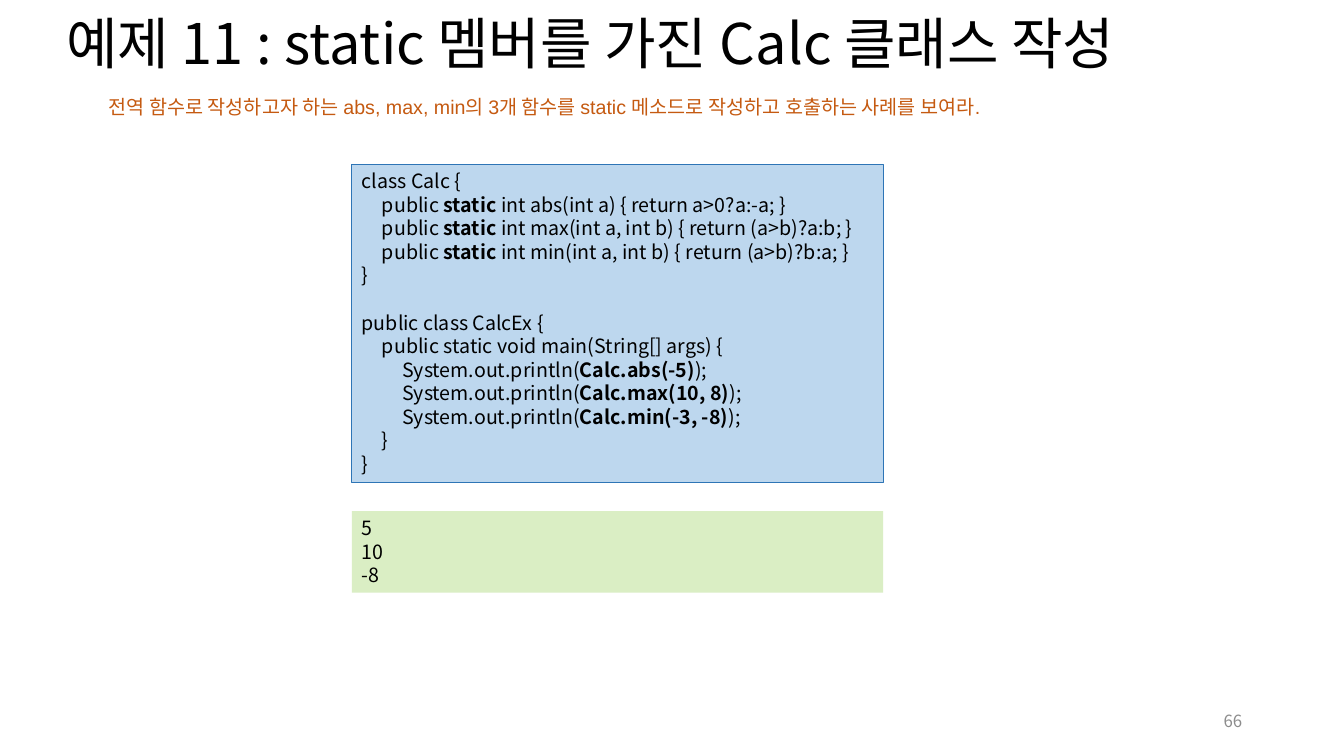
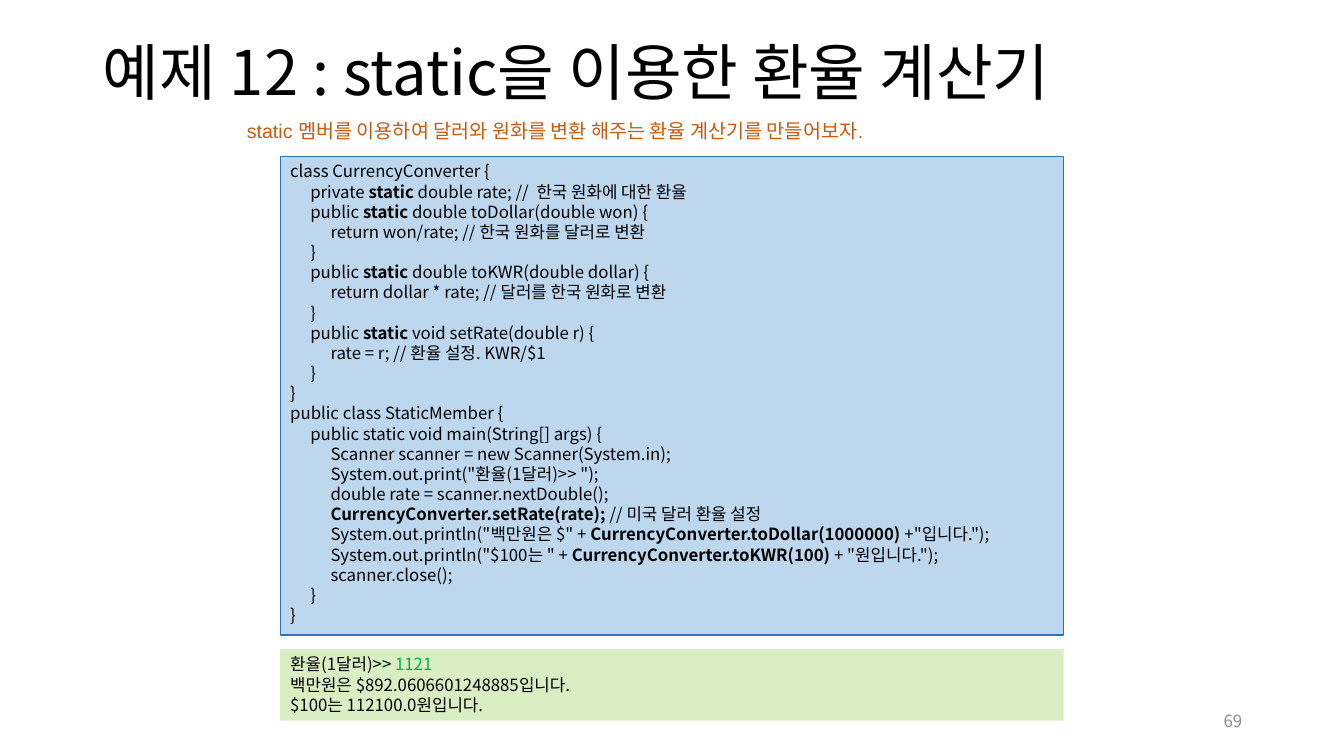
import lxml.etree
import pptx
import pptx.dml.color
import pptx.enum.shapes
import pptx.enum.text
import pptx.oxml.ns
import pptx.util

Inches = pptx.util.Inches
Pt = pptx.util.Pt
ALIGN = pptx.enum.text.PP_ALIGN
ANCHOR = pptx.enum.text.MSO_ANCHOR

MAIN_FONT = "Noto Sans CJK KR"
TASK_FONT = "Arial"
BLACK, GRAY, ORANGE, GREEN = "000000", "8C8C8C", "C55A11", "00B050"
CODE_FILL, CODE_LINE, OUTPUT_FILL = "BDD7EE", "2E75B6", "DAEEC4"
NUMBER_BOX = (9.42, 6.95, 3, 0.4)
TAB_STEP = 0.2
CODE_LEADING = 1.2
MARK = "**"

CALC_CODE = """class Calc {
	public **static **int abs(int a) { return a>0?a:-a; }
	public **static **int max(int a, int b) { return (a>b)?a:b; }
	public **static **int min(int a, int b) { return (a>b)?b:a; }
}

public class CalcEx {
	public static void main(String[] args) {
		System.out.println(**Calc.abs(-5)**);
		System.out.println(**Calc.max(10, 8)**);
		System.out.println(**Calc.min(-3, -8)**);
	}
}"""

CONVERTER_CODE = """class CurrencyConverter {
	private **static** double rate; //  한국 원화에 대한 환율
	public **static** double toDollar(double won) {
		return won/rate; // 한국 원화를 달러로 변환
	}
	public **static **double toKWR(double dollar) {
		return dollar * rate; // 달러를 한국 원화로 변환
	}
	public **static** void setRate(double r) {
		rate = r; // 환율 설정. KWR/$1
	}
}
public class StaticMember {
	public static void main(String[] args) {
		Scanner scanner = new Scanner(System.in);
		System.out.print("환율(1달러)>> ");
		double rate = scanner.nextDouble();
		**CurrencyConverter.setRate(rate);** // 미국 달러 환율 설정
		System.out.println("백만원은 $" + **CurrencyConverter.toDollar(1000000) **+"입니다.");
		System.out.println("$100는 " + **CurrencyConverter.toKWR(100)** + "원입니다.");
		scanner.close();
	}
}"""

EXAMPLES = [
    {
        "title": ("예제 11 : static 멤버를 가진 Calc 클래스 작성", (0.56, 0.02, 12.77, 0.88), 40),
        "task": ("전역 함수로 작성하고자 하는 abs, max, min의 3개 함수를 static 메소드로 작성하고 호출하는 사례를 보여라.",
                 (0.98, 0.89, 10.59, 0.34)),
        "code": (CALC_CODE, (3.49, 1.63, 5.27, 3.16)),
        "output": ("5\n10\n-8", (3.49, 5.07, 5.27, 0.81)),
        "code_size": 14,
        "number": "66",
    },
    {
        "title": ("예제 12 : static을 이용한 환율 계산기", (0.92, 0.02, 11.5, 1.45), 44),
        "task": ("static 멤버를 이용하여 달러와 원화를 변환 해주는 환율 계산기를 만들어보자.",
                 (2.35, 1.13, 7.87, 0.34)),
        "code": (CONVERTER_CODE, (2.78, 1.55, 7.77, 4.75)),
        "output": ("환율(1달러)>> **1121**\n백만원은 $892.0606601248885입니다.\n$100는 112100.0원입니다.",
                   (2.78, 6.44, 7.77, 0.71)),
        "code_size": 12,
        "number": "69",
    },
]


def rgb(value):
    """Return the colour for a hex string."""
    return pptx.dml.color.RGBColor.from_string(value)


def add_tab_stops(paragraph, count):
    """Give a paragraph evenly spaced tab stops."""
    qn = pptx.oxml.ns.qn
    tabs = lxml.etree.SubElement(paragraph._p.get_or_add_pPr(), qn("a:tabLst"))
    for level in range(1, count + 1):
        position = str(int(Inches(TAB_STEP * level)))
        lxml.etree.SubElement(tabs, qn("a:tab"), pos=position, algn="l")


def write_text(shape, text, *, size, color=BLACK, font=MAIN_FONT, align=ALIGN.LEFT,
               anchor=ANCHOR.TOP, spacing=None, mark_color=None):
    """Write lines into a shape; marked parts are bold or take mark_color."""
    frame = shape.text_frame
    frame.word_wrap = True
    frame.vertical_anchor = anchor
    for index, line in enumerate(text.split("\n")):
        paragraph = frame.add_paragraph() if index else frame.paragraphs[0]
        paragraph.alignment = align
        paragraph.line_spacing = spacing
        depth = line.count("\t")
        if depth:
            add_tab_stops(paragraph, depth)
        for position, part in enumerate(line.split(MARK)):
            if not part:
                continue
            marked = position % 2 == 1
            run = paragraph.add_run()
            run.text = part
            run.font.size = Pt(size)
            run.font.name = font
            run.font.bold = marked and mark_color is None
            run.font.color.rgb = rgb(mark_color if marked and mark_color else color)
            lxml.etree.SubElement(run.font._element, pptx.oxml.ns.qn("a:ea"), typeface=MAIN_FONT)


def add_label(slide, text, box, **text_format):
    """Add a plain text box."""
    write_text(slide.shapes.add_textbox(*map(Inches, box)), text, **text_format)


def add_panel(slide, text, box, *, fill, line=None, **text_format):
    """Add a filled rectangle holding code or its output."""
    shape = slide.shapes.add_shape(pptx.enum.shapes.MSO_SHAPE.RECTANGLE, *map(Inches, box))
    shape.shadow.inherit = False
    shape.fill.solid()
    shape.fill.fore_color.rgb = rgb(fill)
    if line:
        shape.line.color.rgb = rgb(line)
        shape.line.width = Pt(0.75)
    else:
        shape.line.fill.background()
    write_text(shape, text, **text_format)


def add_example(presentation, example):
    """Add one example slide."""
    slide = presentation.slides.add_slide(presentation.slide_layouts[6])
    title, title_box, title_size = example["title"]
    add_label(slide, title, title_box, size=title_size, anchor=ANCHOR.MIDDLE, spacing=0.9)
    add_label(slide, example["number"], NUMBER_BOX, size=12, color=GRAY,
              align=ALIGN.RIGHT, anchor=ANCHOR.MIDDLE)
    add_label(slide, *example["task"], size=14, color=ORANGE, font=TASK_FONT)
    size = example["code_size"]
    code_format = {"size": size, "spacing": Pt(size * CODE_LEADING)}
    add_panel(slide, *example["code"], fill=CODE_FILL, line=CODE_LINE, **code_format)
    add_panel(slide, *example["output"], fill=OUTPUT_FILL, mark_color=GREEN, **code_format)


def main():
    """Build and save the presentation."""
    presentation = pptx.Presentation()
    presentation.slide_width = Inches(13.33)
    presentation.slide_height = Inches(7.5)
    for example in EXAMPLES:
        add_example(presentation, example)
    presentation.save("out.pptx")


if __name__ == "__main__":
    main()
